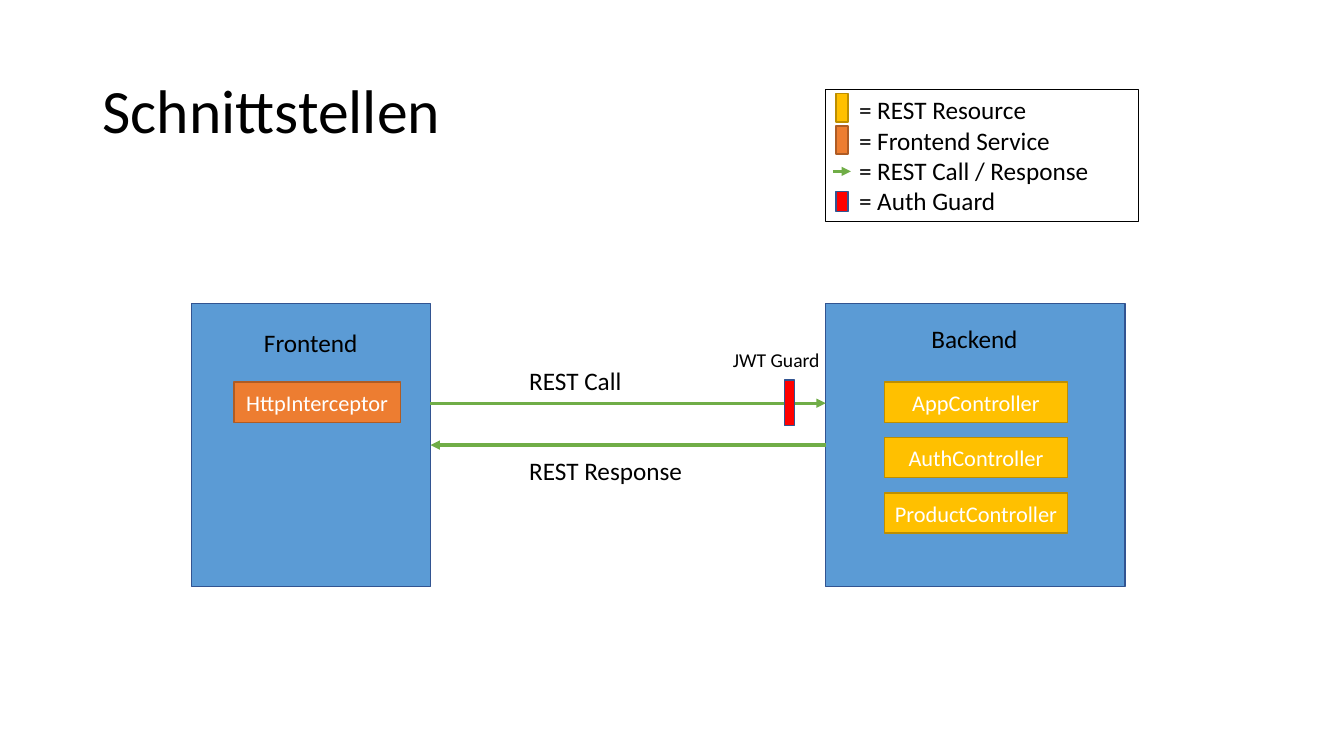
from lxml import etree
from pptx import Presentation
from pptx.dml.color import RGBColor
from pptx.enum.shapes import MSO_CONNECTOR as Connector, MSO_SHAPE as Shape
from pptx.enum.text import MSO_ANCHOR as Anchor, PP_ALIGN as Align
from pptx.oxml.ns import qn
from pptx.util import Inches, Pt

FONT = "Calibri"
COLORS = {
    "black": "000000", "white": "FFFFFF", "green": "70AD47",
    "blue": "5B9BD5", "blue_edge": "325491", "red": "FF0000",
    "orange": "ED7D31", "orange_edge": "AF5C24",
    "yellow": "FFC000", "yellow_edge": "BD8E00",
}
# Fill and outline of each kind of box
SYSTEM = ("blue", "blue_edge")
SERVICE = ("orange", "orange_edge")
RESOURCE = ("yellow", "yellow_edge")
GUARD = ("red", "blue_edge")

# Text, left, top, width, height, size
TITLE = ("Schnittstellen", 0.92, 0.4, 11.5, 1.45, 44)
LABELS = [
    ("Frontend", 2.52, 3.2, 1.14, 0.4, 18),
    ("Backend", 9.14, 3.16, 1.06, 0.4, 18),
    ("REST Call", 5.15, 3.58, 1.18, 0.4, 18),
    ("JWT Guard", 7.17, 3.4, 1.32, 0.34, 14),
    ("REST Response", 5.15, 4.47, 1.73, 0.4, 18),
]
CONTROLLERS = ["AppController", "AuthController", "ProductController"]
LEGEND = ["= REST Resource", "= Frontend Service",
          "= REST Call / Response", "= Auth Guard"]
# Style, top, height
LEGEND_KEYS = [(RESOURCE, 0.93, 0.28), (SERVICE, 1.25, 0.28), (GUARD, 1.9, 0.2)]

FRONTEND_LEFT, FRONTEND_WIDTH = 1.9, 2.37
BACKEND_LEFT, BACKEND_WIDTH = 8.19, 2.97
SYSTEM_TOP, SYSTEM_HEIGHT = 3.01, 2.81
ITEM_TOP, ITEM_HEIGHT, ITEM_STEP = 3.79, 0.4, 0.55
CALL_Y = 4.0
RESPONSE_Y = SYSTEM_TOP + SYSTEM_HEIGHT / 2

prs = Presentation()
prs.slide_width, prs.slide_height = Inches(13.33), Inches(7.5)
shapes = prs.slides.add_slide(prs.slide_layouts[6]).shapes


def rgb(name):
    return RGBColor.from_string(COLORS[name])


def write(frame, lines, size, color="black", align=Align.LEFT):
    frame.text = "\n".join(lines)
    for paragraph in frame.paragraphs:
        paragraph.alignment = align
        for run in paragraph.runs:
            run.font.name, run.font.size = FONT, Pt(size)
            run.font.color.rgb = rgb(color)


def add_label(text, left, top, width, height, size):
    frame = shapes.add_textbox(*map(Inches, (left, top, width, height))).text_frame
    frame.word_wrap = True
    write(frame, [text], size)
    return frame


def add_box(style, left, top, width, height, text=None, weight=1):
    fill, edge = style
    box = shapes.add_shape(Shape.RECTANGLE, *map(Inches, (left, top, width, height)))
    box.shadow.inherit = False
    if fill:
        box.fill.solid()
        box.fill.fore_color.rgb = rgb(fill)
    else:
        box.fill.background()
    box.line.color.rgb, box.line.width = rgb(edge), Pt(weight)
    if text:
        box.text_frame.vertical_anchor = Anchor.MIDDLE
        write(box.text_frame, [text], 16, "white", Align.CENTER)
    return box


def add_arrow(start_x, end_x, y):
    arrow = shapes.add_connector(
        Connector.STRAIGHT, Inches(start_x), Inches(y), Inches(end_x), Inches(y))
    arrow.line.color.rgb, arrow.line.width = rgb("green"), Pt(2.25)
    etree.SubElement(arrow.line._get_or_add_ln(), qn("a:tailEnd"), type="triangle")
    etree.SubElement(arrow._element.spPr, qn("a:effectLst"))
    return arrow


legend = add_box((None, "black"), BACKEND_LEFT, 0.89, 3.1, 1.31, weight=0.75).text_frame
legend.vertical_anchor = Anchor.TOP
legend.margin_left = Inches(0.33)  # room for the keys
write(legend, LEGEND, 18)

title = add_label(*TITLE)
title.vertical_anchor = Anchor.MIDDLE
title.paragraphs[0].line_spacing = 0.9

frontend = add_box(SYSTEM, FRONTEND_LEFT, SYSTEM_TOP, FRONTEND_WIDTH, SYSTEM_HEIGHT)
backend = add_box(SYSTEM, BACKEND_LEFT, SYSTEM_TOP, BACKEND_WIDTH, SYSTEM_HEIGHT)

frontend_right = FRONTEND_LEFT + FRONTEND_WIDTH
add_arrow(frontend_right, BACKEND_LEFT, CALL_Y)
response = add_arrow(BACKEND_LEFT, frontend_right, RESPONSE_Y)
response.begin_connect(backend, 1)
response.end_connect(frontend, 3)
add_box(GUARD, 7.78, 3.77, 0.1, 0.45)

for label in LABELS:
    add_label(*label)

add_box(SERVICE, 2.32, ITEM_TOP, 1.65, ITEM_HEIGHT, "HttpInterceptor")
for row, controller in enumerate(CONTROLLERS):
    add_box(RESOURCE, 8.77, ITEM_TOP + row * ITEM_STEP, 1.82, ITEM_HEIGHT, controller)

for style, top, height in LEGEND_KEYS:
    add_box(style, 8.29, top, 0.12, height)
add_arrow(8.26, 8.44, 1.7)

prs.save("out.pptx")
